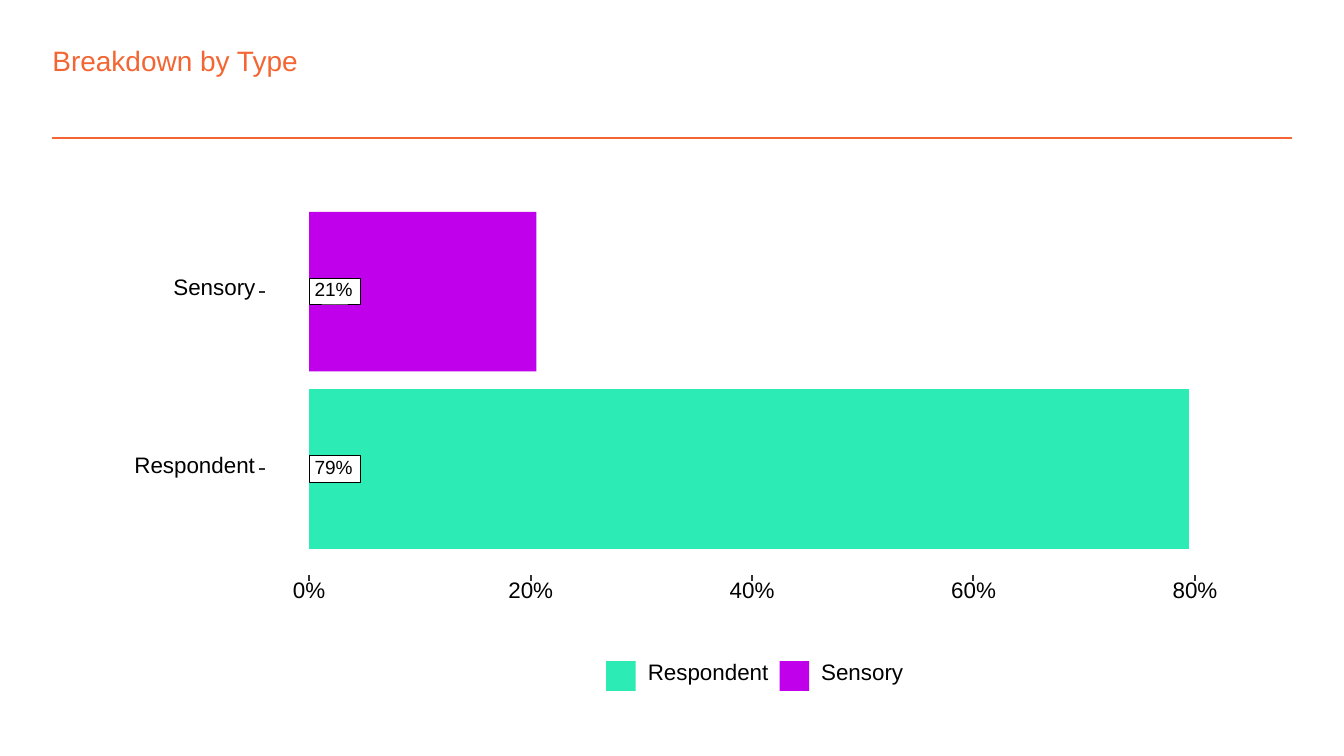
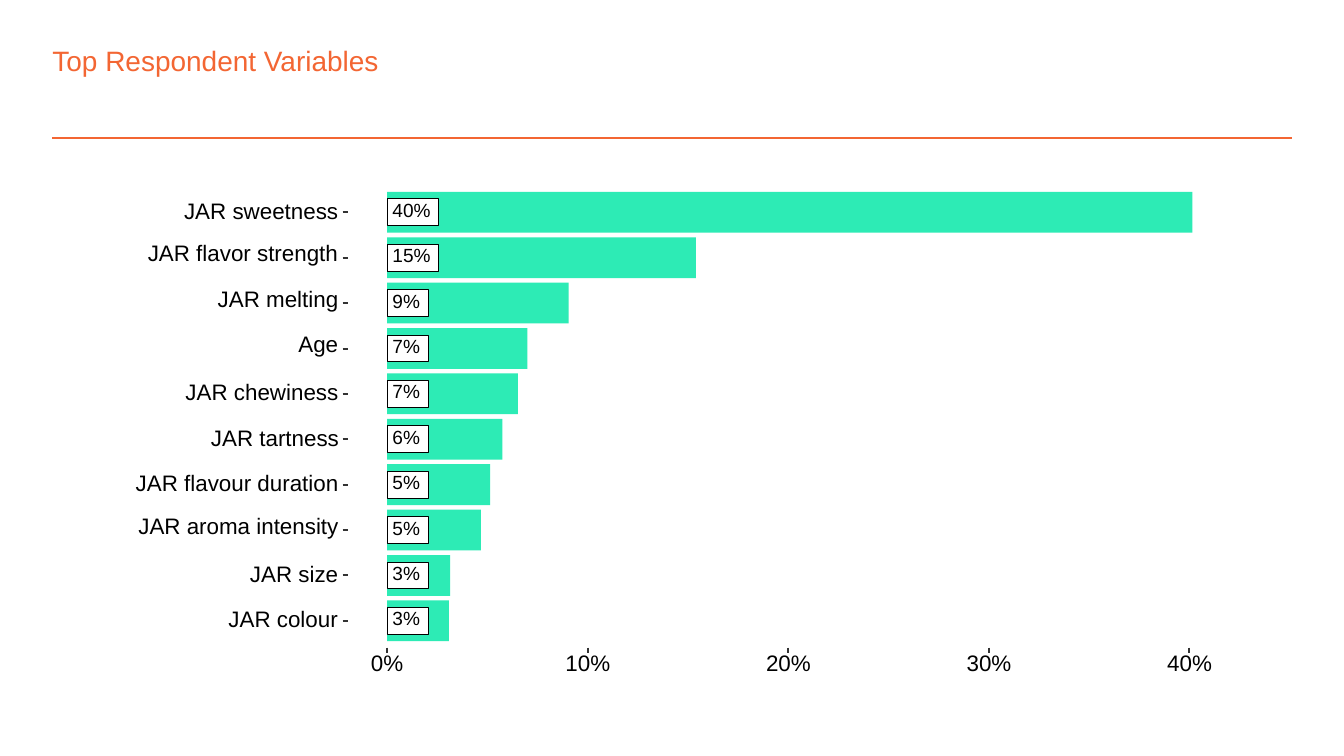
from pptx import Presentation
from pptx.dml.color import RGBColor
from pptx.enum import shapes, text
from pptx.oxml.ns import qn
from pptx.util import Inches, Pt
from lxml import etree

FONT = "Arial"
COLORS = {
    "accent": "F36633", "respondent": "2DEBB5", "sensory": "C000EB",
    "tick": "333333", "ink": "000000", "paper": "FFFFFF",
}
TICK = 0.04
SLACK = 0.01  # keeps tight text on one line

# Each row: name, label width, share in percent, colour
TYPES = [
    ("Sensory", 0.61, 20.54, "sensory"),
    ("Respondent", 0.9, 79.46, "respondent"),
]
VARIABLES = [(name, width, share, "respondent") for name, width, share in [
    ("JAR sweetness", 1.15, 40.15),
    ("JAR flavor strength", 1.42, 15.4),
    ("JAR melting", 0.9, 9.05),
    ("Age", 0.3, 7),
    ("JAR chewiness", 1.14, 6.52),
    ("JAR tartness", 0.95, 5.75),
    ("JAR flavour duration", 1.51, 5.15),
    ("JAR aroma intensity", 1.49, 4.68),
    ("JAR size", 0.66, 3.15),
    ("JAR colour", 0.82, 3.08),
]]


def color(key):
    return RGBColor.from_string(COLORS[key])


def add_text(slide, words, left, top, width, height, size, ink="ink",
             anchor=text.MSO_ANCHOR.MIDDLE, tight=True):
    if tight:
        width += SLACK
    frame = slide.shapes.add_textbox(
        Inches(left), Inches(top), Inches(width), Inches(height)).text_frame
    frame.margin_left = frame.margin_right = 0
    frame.margin_top = frame.margin_bottom = 0
    frame.vertical_anchor = anchor
    frame.word_wrap = not tight
    paragraph = frame.paragraphs[0]
    paragraph.text = words
    paragraph.font.name = FONT
    paragraph.font.size = Pt(size)
    paragraph.font.color.rgb = color(ink)
    if tight:
        paragraph.line_spacing = Pt(size)


def add_rect(slide, left, top, width, height, fill, outline=None):
    rect = slide.shapes.add_shape(
        shapes.MSO_SHAPE.RECTANGLE,
        Inches(left), Inches(top), Inches(width), Inches(height))
    rect.shadow.inherit = False
    rect.fill.solid()
    rect.fill.fore_color.rgb = color(fill)
    if outline:
        rect.line.color.rgb = color(outline)
        rect.line.width = Pt(0.53)
    else:
        rect.line.fill.background()


def add_line(slide, x1, y1, x2, y2, ink, weight):
    line = slide.shapes.add_connector(
        shapes.MSO_CONNECTOR.STRAIGHT,
        Inches(x1), Inches(y1), Inches(x2), Inches(y2))
    line.line.color.rgb = color(ink)
    line.line.width = Pt(weight)
    etree.SubElement(line._element.spPr, qn("a:effectLst"))


def add_name(slide, name, left, middle, width):
    """Category name; names with descenders sit slightly higher."""
    descends = any(letter in "gpqy" for letter in name)
    height = 0.15 if descends else 0.12
    middle -= 0.02 if descends else 0
    add_text(slide, name, left, middle - height / 2, width, height, 12)


def add_header(prs, title):
    slide = prs.slides.add_slide(prs.slide_layouts[6])
    add_line(slide, 0.39, 1.03, 9.61, 1.03, "accent", 1)
    add_text(slide, title, 0.39, 0.32, 8.29, 0.25, 15, "accent",
             text.MSO_ANCHOR.TOP, tight=False)
    return slide


def add_bars(slide, rows, first, last, zero, end, peak, names_right):
    """Horizontal bars; first and last are the middles of the outer rows."""
    step = (last - first) / (len(rows) - 1)
    thickness = 0.9 * step
    for i, (name, name_width, share, fill) in enumerate(rows):
        middle = first + i * step
        add_rect(slide, zero, middle - thickness / 2,
                 (end - zero) * share / peak, thickness, fill)
        # Boxed share at the foot of the bar
        label = f"{share:.0f}%"
        label_width = 0.07 * len(label) + 0.07
        add_rect(slide, zero, middle - 0.1, label_width + 0.1, 0.2,
                 "paper", "ink")
        add_text(slide, label, zero + 0.04, middle - 0.06,
                 label_width, 0.11, 10.2)
        # Name and its tick
        add_name(slide, name, names_right - name_width, middle, name_width)
        tick = names_right + 0.03
        add_line(slide, tick, middle, tick + TICK, middle, "tick", 1.07)


def add_scale(slide, zero, end, peak, top, steps=4):
    for i in range(steps + 1):
        x = zero + i * (end - zero) / steps
        label = f"{peak * i // steps}%"
        width = 0.09 * len(label) + 0.06
        add_line(slide, x, top, x, top + TICK, "tick", 1.07)
        add_text(slide, label, x - width / 2, top + 0.06, width, 0.13, 12)


def add_legend(slide, rows, left, middle):
    for i, (name, width, _, fill) in enumerate(rows):
        x = left + 1.29 * i
        add_rect(slide, x, middle - 0.11, 0.22, 0.22, fill)
        add_name(slide, name, x + 0.31, middle, width)


def main():
    prs = Presentation()
    prs.slide_width = Inches(10)
    prs.slide_height = prs.slide_width * 9 // 16

    # Share by type
    slide = add_header(prs, "Breakdown by Type")
    add_bars(slide, TYPES, 2.17, 3.49, 2.3, 8.89, 80, 1.9)
    add_scale(slide, 2.3, 8.89, 80, 4.28)
    add_legend(slide, TYPES[::-1], 4.51, 5.03)

    # Leading respondent variables
    slide = add_header(prs, "Top Respondent Variables")
    add_bars(slide, VARIABLES, 1.58, 4.62, 2.88, 8.85, 40, 2.52)
    add_scale(slide, 2.88, 8.85, 40, 4.82)

    prs.save("out.pptx")


main()
